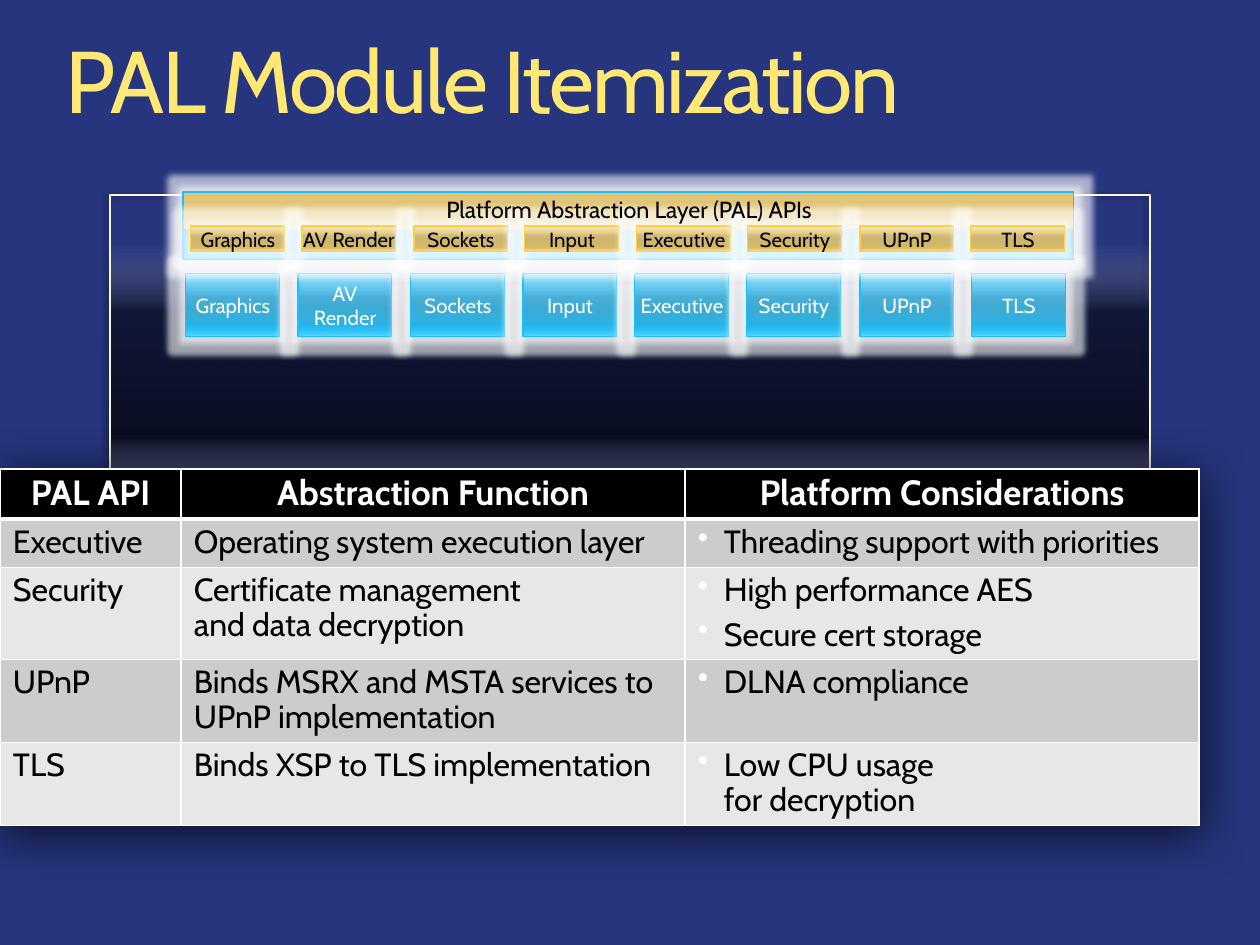
from dataclasses import dataclass

from pptx import Presentation, util as u
from pptx.dml.color import RGBColor
from pptx.enum import shapes, text
from pptx.oxml import parse_xml
from pptx.oxml.ns import nsdecls, qn

EMU_PER_PX = 914400 / 105
FONT = "Cabin"
COLORS = {
    "background": "26357E", "title": "FFE974", "white": "FFFFFF", "black": "000000",
    "frame": "FFF3D8", "blue line": "18C0FF", "gold line": "FFCF46",
    "odd row": "CCCCCC", "even row": "E7E7E7",
}
# Gradient stops: position %, colour, opacity %
BLUE = [(0, "A0E0FF", 100), (25, "5DC3EB", 100), (38, "49AED7", 100), (55, "3CABD4", 100),
        (80, "2CB1E3", 100), (88, "24BFF8", 100), (100, "5FD3FF", 100)]
GOLD = [(0, "FFECBA", 100), (25, "E8D08E", 100), (38, "D1B977", 100), (55, "CEB670", 100),
        (80, "D6B965", 100), (88, "E7C565", 100), (100, "FFE498", 100)]
BAND = [(0, "E2C477", 100), (55, "E2C477", 100), *BLUE[3:]]
BACKDROP = [(9, "FFFFFF", 0), (31, "000000", 63), (67, "000000", 44), (86, "FFFFFF", 0)]

MODULES = ["Graphics", "AV Render", "Sockets", "Input", "Executive", "Security", "UPnP", "TLS"]
HEADERS = ["PAL API", "Abstraction Function", "Platform Considerations"]
API_ROWS = [
    ("Executive", "Operating system execution layer", ["Threading support with priorities"]),
    ("Security", "Certificate management\nand data decryption",
     ["High performance AES", "Secure cert storage"]),
    ("UPnP", "Binds MSRX and MSTA services to UPnP implementation", ["DLNA compliance"]),
    ("TLS", "Binds XSP to TLS implementation", ["Low CPU usage\nfor decryption"]),
]
COLUMN_WIDTHS = [181, 504, 514]
ROW_HEIGHTS = [50, 48, 92, 83, 83]


@dataclass
class Panel:
    left: int
    top: int
    width: int
    height: int
    stops: list
    line: str
    line_pt: float = 0.75
    angle: int = 90
    effect: str = ""


@dataclass
class ModuleRow:
    left: int
    span: int
    top: int
    height: int
    stops: list
    line: str
    ink: str
    split_words: bool


IMPLEMENTATIONS = ModuleRow(186, 786, 274, 63, BLUE, "blue line", "white", True)
APIS = ModuleRow(191, 780, 226, 26, GOLD, "gold line", "black", False)
MODULE_WIDTH = 94


def px(length: float) -> int:
    return round(length * EMU_PER_PX)


def rgb(name: str) -> RGBColor:
    return RGBColor.from_string(COLORS[name])


def glow() -> str:
    return (f'<a:glow {nsdecls("a")} rad="{px(12)}"><a:srgbClr val="{COLORS["white"]}">'
            '<a:alpha val="60000"/></a:srgbClr></a:glow>')


def outer_shadow(blur: int, distance: int, angle: int, opacity: int) -> str:
    return (f'<a:outerShdw {nsdecls("a")} blurRad="{px(blur)}" dist="{px(distance)}" '
            f'dir="{angle * 60000}" algn="ctr" rotWithShape="0">'
            f'<a:srgbClr val="{COLORS["black"]}"><a:alpha val="{opacity * 1000}"/></a:srgbClr>'
            '</a:outerShdw>')


def gradient(stops: list, angle: int) -> str:
    marks = "".join(
        f'<a:gs pos="{pos * 1000}"><a:srgbClr val="{color}"><a:alpha val="{opacity * 1000}"/>'
        '</a:srgbClr></a:gs>' for pos, color, opacity in stops)
    return (f'<a:gradFill {nsdecls("a")} rotWithShape="1"><a:gsLst>{marks}</a:gsLst>'
            f'<a:lin ang="{angle * 60000}" scaled="0"/></a:gradFill>')


def add_panel(slide, panel: Panel):
    shape = slide.shapes.add_shape(
        shapes.MSO_SHAPE.RECTANGLE, *map(px, (panel.left, panel.top, panel.width, panel.height)))
    shape.shadow.inherit = False
    properties = shape._element.spPr
    properties.insert(2, parse_xml(gradient(panel.stops, panel.angle)))
    properties.find(qn("a:effectLst")).append(parse_xml(panel.effect or glow()))
    shape.line.color.rgb = rgb(panel.line)
    shape.line.width = u.Pt(panel.line_pt)
    return shape


def set_insets(frame) -> None:
    frame.margin_left = frame.margin_right = px(13)
    frame.margin_top = frame.margin_bottom = px(6)


def add_text(paragraph, words: str, size: int, color: str, bold: bool = False) -> None:
    """Add one run per line, with line breaks between them."""
    for index, line in enumerate(words.split("\n")):
        if index:
            paragraph.add_line_break()
        run = paragraph.add_run()
        run.text = line
        run.font.name, run.font.size, run.font.bold = FONT, u.Pt(size), bold
        run.font.color.rgb = rgb(color)


def add_paragraphs(frame, lines: list, size: int, color: str):
    for index, line in enumerate(lines):
        paragraph = frame.add_paragraph() if index else frame.paragraphs[0]
        paragraph.alignment = text.PP_ALIGN.CENTER
        add_text(paragraph, line, size, color)


def add_modules(slide, row: ModuleRow) -> None:
    for index, module in enumerate(MODULES):
        left = row.left + round(index * row.span / (len(MODULES) - 1))
        box = add_panel(slide, Panel(left, row.top, MODULE_WIDTH, row.height, row.stops, row.line))
        frame = box.text_frame
        frame.word_wrap = False
        frame.vertical_anchor = text.MSO_ANCHOR.MIDDLE
        set_insets(frame)
        add_paragraphs(frame, module.split() if row.split_words else [module], 14, row.ink)


def add_bullet(paragraph) -> None:
    properties = paragraph._p.get_or_add_pPr()
    properties.set("marL", str(px(26)))
    properties.set("indent", str(-px(26)))
    for tag in (f'<a:buClr {nsdecls("a")}><a:srgbClr val="{COLORS["white"]}"/></a:buClr>',
                f'<a:buSzPct {nsdecls("a")} val="95000"/>',
                f'<a:buChar {nsdecls("a")} char="•"/>'):
        properties.append(parse_xml(tag))


def format_cell(cell, row: int) -> None:
    set_insets(cell)
    points = {"L": 1, "R": 1, "T": 3 if row == 1 else 1, "B": 3 if row == 0 else 1}
    for side, width in points.items():
        cell._tc.get_or_add_tcPr().append(parse_xml(
            f'<a:ln{side} {nsdecls("a")} w="{u.Pt(width)}"><a:solidFill>'
            f'<a:srgbClr val="{COLORS["white"]}"/></a:solidFill></a:ln{side}>'))
    cell.fill.solid()
    cell.fill.fore_color.rgb = rgb("black" if row == 0 else "odd row" if row % 2 else "even row")


def add_api_table(slide) -> None:
    table = slide.shapes.add_table(
        len(ROW_HEIGHTS), len(COLUMN_WIDTHS), 0, px(469),
        px(sum(COLUMN_WIDTHS)), px(sum(ROW_HEIGHTS))).table
    shadow = parse_xml(f'<a:effectLst {nsdecls("a")}>{outer_shadow(50, 8, 90, 75)}</a:effectLst>')
    table._tbl.tblPr.insert(0, shadow)
    for column, width in zip(table.columns, COLUMN_WIDTHS):
        column.width = px(width)
    for row, height in zip(table.rows, ROW_HEIGHTS):
        row.height = px(height)
    for r, entries in enumerate([HEADERS, *API_ROWS]):
        for c, entry in enumerate(entries):
            cell = table.cell(r, c)
            format_cell(cell, r)
            bulleted = isinstance(entry, list)
            for index, words in enumerate(entry if bulleted else [entry]):
                frame = cell.text_frame
                paragraph = frame.add_paragraph() if index else frame.paragraphs[0]
                if bulleted:
                    add_bullet(paragraph)
                paragraph.line_spacing = 0.9
                if index:
                    paragraph.space_before = u.Pt(6.6)
                if r == 0:
                    paragraph.alignment = text.PP_ALIGN.CENTER
                add_text(paragraph, words, 22 if r else 24, "black" if r else "white", r == 0)


def add_title(slide) -> None:
    title = slide.shapes.title
    title.left, title.top, title.width, title.height = map(px, (53, 32, 1155, 96))
    frame = title.text_frame
    set_insets(frame)
    frame.auto_size = text.MSO_AUTO_SIZE.NONE
    frame.vertical_anchor = text.MSO_ANCHOR.TOP
    heading = frame.paragraphs[0]
    heading.alignment = text.PP_ALIGN.LEFT
    heading.line_spacing = 0.9
    add_text(heading, "PAL Module Itemization", 60, "title")
    heading.runs[0].font._element.set("spc", "-150")


def main() -> None:
    deck = Presentation()
    deck.slide_width, deck.slide_height = px(1260), px(945)
    slide = deck.slides.add_slide(deck.slide_layouts[5])
    slide.background.fill.solid()
    slide.background.fill.fore_color.rgb = rgb("background")
    add_panel(slide, Panel(110, 195, 1040, 351, BACKDROP, "frame", 1.25, 270,
                           outer_shadow(6, 4, 180, 40)))
    add_title(slide)
    add_api_table(slide)
    add_modules(slide, IMPLEMENTATIONS)
    add_panel(slide, Panel(183, 192, 891, 67, BAND, "blue line"))
    add_modules(slide, APIS)
    band_label = slide.shapes.add_textbox(*map(px, (188, 189, 882, 41))).text_frame
    band_label.word_wrap = True
    set_insets(band_label)
    add_paragraphs(band_label, ["Platform Abstraction Layer (PAL) APIs"], 16, "black")
    deck.save("out.pptx")


if __name__ == "__main__":
    main()
